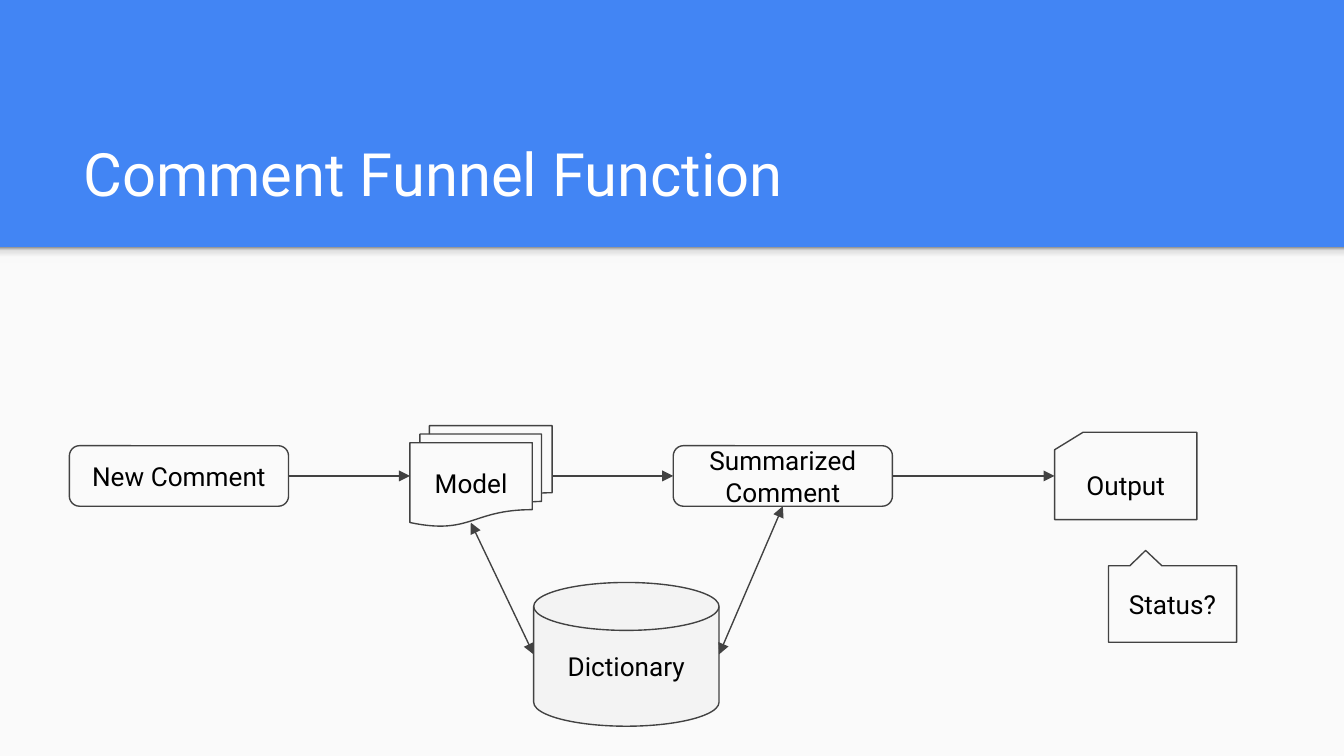
from copy import deepcopy

from lxml.etree import SubElement
from pptx import Presentation
from pptx.dml.color import RGBColor
from pptx.enum.shapes import MSO_CONNECTOR, MSO_SHAPE
from pptx.enum.text import MSO_ANCHOR, MSO_AUTO_SIZE, PP_ALIGN
from pptx.oxml.ns import qn
from pptx.util import Pt

BLUE, PAPER, WHITE = "4285F4", "FAFAFA", "FFFFFF"
INK, BLACK, GREY = "424242", "000000", "F3F3F3"
WIDTH, HEIGHT = 720, 405
BAND_BOTTOM = 132.5
FLOW_Y = 255  # centre line of the main flow


def color(value):
    return RGBColor.from_string(value)


def write(frame, text, size=14, ink=BLACK, font="Roboto",
          align=PP_ALIGN.CENTER, anchor=MSO_ANCHOR.MIDDLE):
    frame.word_wrap = True
    frame.auto_size = MSO_AUTO_SIZE.NONE
    frame.vertical_anchor = anchor
    frame.margin_left = frame.margin_right = Pt(7.2)
    frame.margin_top = frame.margin_bottom = Pt(7.2)
    paragraph = frame.paragraphs[0]
    paragraph.alignment = align
    run = paragraph.add_run()
    run.text = text
    run.font.name = font
    run.font.size = Pt(size)
    run.font.color.rgb = color(ink)


class Flowchart:
    """Holds the line style and the slide being drawn."""

    def __init__(self, slide, ink=INK, weight=0.75):
        self.slide = slide
        self.ink = ink
        self.weight = weight

    def title(self, text, left, top, width, height):
        heading = self.slide.shapes.title
        heading.left, heading.top = Pt(left), Pt(top)
        heading.width, heading.height = Pt(width), Pt(height)
        write(heading.text_frame, text, size=32, ink=WHITE,
              align=PP_ALIGN.LEFT, anchor=MSO_ANCHOR.BOTTOM)

    def shape(self, kind, left, top, width, height, fill=None):
        item = self.slide.shapes.add_shape(
            kind, Pt(left), Pt(top), Pt(width), Pt(height))
        item.shadow.inherit = False
        if fill:
            item.fill.solid()
            item.fill.fore_color.rgb = color(fill)
        else:
            item.fill.background()
        item.line.fill.background()
        return item

    def gradient(self, left, top, width, height, stops):
        strip = self.shape(MSO_SHAPE.RECTANGLE, left, top, width, height)
        strip.fill.gradient()
        strip.fill.gradient_angle = 90
        stop_list = next(strip.element.spPr.iter(qn("a:gsLst")))
        for _ in stops[2:]:
            stop_list.append(deepcopy(stop_list[0]))
        for stop, (position, tone) in zip(strip.fill.gradient_stops, stops):
            stop.position = position
            stop.color.rgb = color(tone)

    def node(self, kind, text, left, center_y, width, height, fill=None):
        item = self.shape(kind, left, center_y - height / 2, width, height, fill)
        item.line.color.rgb = color(self.ink)
        item.line.width = Pt(self.weight)
        write(item.text_frame, text)
        return item

    def arrow(self, start, end, both_ends=False):
        link = self.slide.shapes.add_connector(
            MSO_CONNECTOR.STRAIGHT, *(Pt(value) for value in (*start, *end)))
        link.line.color.rgb = color(self.ink)
        link.line.width = Pt(self.weight)
        line = link.line._get_or_add_ln()
        for tag in ("a:headEnd", "a:tailEnd") if both_ends else ("a:tailEnd",):
            SubElement(line, qn(tag), type="triangle")
        SubElement(link.element.spPr, qn("a:effectLst"))


def main():
    deck = Presentation()
    deck.slide_width, deck.slide_height = Pt(WIDTH), Pt(HEIGHT)
    slide = deck.slides.add_slide(deck.slide_layouts[5])
    slide.background.fill.solid()
    slide.background.fill.fore_color.rgb = color(BLUE)
    chart = Flowchart(slide)

    # Light lower area with the soft edge under the title band
    chart.shape(MSO_SHAPE.RECTANGLE, 0, BAND_BOTTOM,
                WIDTH, HEIGHT - BAND_BOTTOM, PAPER)
    chart.gradient(0, BAND_BOTTOM, WIDTH, 8.5, [
        (0, "F9F9F9"), (0.36, "F9F9F9"), (0.8, "DEDEDE"), (1, "999999")])
    chart.title("Comment Funnel Function", 37.4, 58.3, 647.3, 60.5)

    # Main flow, left to right
    flow = [
        (MSO_SHAPE.ROUNDED_RECTANGLE, "New Comment", 37.2, 117.4, 32.4),
        (MSO_SHAPE.FLOWCHART_MULTIDOCUMENT, "Model", 219.6, 76.2, 54),
        (MSO_SHAPE.ROUNDED_RECTANGLE, "Summarized Comment", 360.7, 117.4, 32.4),
        (MSO_SHAPE.FLOWCHART_CARD, "Output", 565, 76.2, 46.8),
    ]
    for kind, text, left, width, height in flow:
        chart.node(kind, text, left, FLOW_Y, width, height)
    for (_, _, left, width, _), (_, _, next_left, _, _) in zip(flow, flow[1:]):
        chart.arrow((left + width, FLOW_Y), (next_left, FLOW_Y))

    # Dictionary, read and updated by the model and the summary
    dictionary_left, dictionary_y, dictionary_width = 285.9, 350.6, 99.3
    chart.node(MSO_SHAPE.FLOWCHART_MAGNETIC_DISK, "Dictionary",
               dictionary_left, dictionary_y, dictionary_width, 77, GREY)
    chart.arrow((252.2, 280), (dictionary_left, dictionary_y), both_ends=True)
    chart.arrow((419.4, 271.2),
                (dictionary_left + dictionary_width, dictionary_y), both_ends=True)

    # Question about the output
    status = chart.node(MSO_SHAPE.ROUNDED_RECTANGULAR_CALLOUT, "Status?",
                        593.9, 323.6, 68.6, 41)
    for index, value in enumerate((-0.21, -0.7, 0)):
        status.adjustments[index] = value

    deck.save("out.pptx")


if __name__ == "__main__":
    main()
